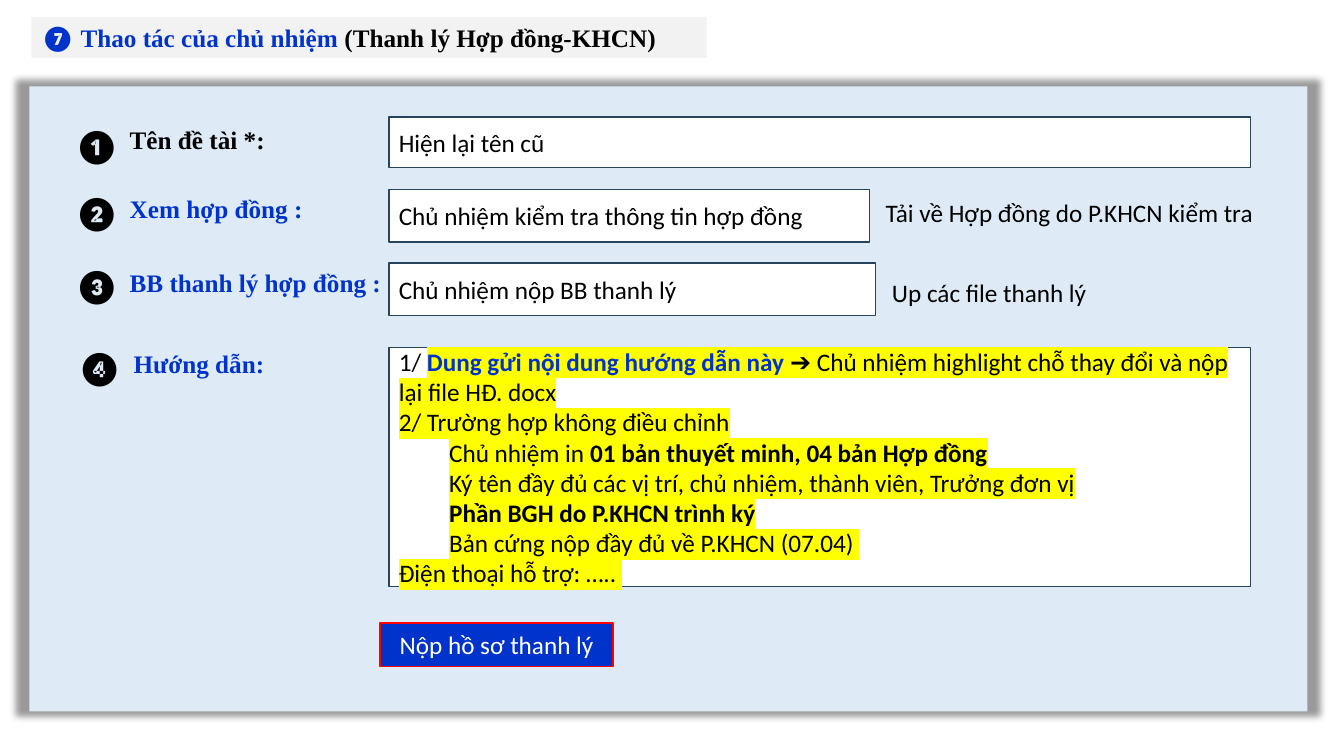
"""Build the contract liquidation form slide."""
from dataclasses import dataclass

from lxml import etree
from pptx import Presentation
from pptx.dml.color import RGBColor
from pptx.enum.shapes import MSO_SHAPE
from pptx.enum.text import MSO_ANCHOR, MSO_AUTO_SIZE, PP_ALIGN
from pptx.oxml.ns import qn
from pptx.shapes.autoshape import Shape
from pptx.slide import Slide
from pptx.util import Cm, Pt

RECTANGLE = MSO_SHAPE.RECTANGLE
TOP, MIDDLE = MSO_ANCHOR.TOP, MSO_ANCHOR.MIDDLE
GROW = MSO_AUTO_SIZE.SHAPE_TO_FIT_TEXT
LEFT, CENTER = PP_ALIGN.LEFT, PP_ALIGN.CENTER


@dataclass(frozen=True)
class Theme:
    black: str = "000000"
    white: str = "FFFFFF"
    blue: str = "0033CC"
    panel: str = "DEEBF7"
    header: str = "F2F2F2"
    border: str = "28445D"
    red: str = "FF0000"
    yellow: str = "FFFF00"
    body_font: str = "Calibri"
    label_font: str = "Times New Roman"
    body_size: float = 18
    badge_size: float = 24


THEME = Theme()


@dataclass(frozen=True)
class Box:
    left: float
    top: float
    width: float
    height: float


@dataclass(frozen=True)
class Span:
    text: str
    color: str = THEME.black
    bold: bool = False
    font: str = THEME.body_font
    size: float = THEME.body_size
    highlight: bool = False


@dataclass(frozen=True)
class Line:
    spans: list[Span]
    level: int = 0


@dataclass(frozen=True)
class FormRow:
    badge: str
    label: str
    label_color: str
    badge_box: Box
    label_box: Box
    field_box: Box
    lines: list[Line]


@dataclass(frozen=True)
class Note:
    text: str
    box: Box


def marked(text: str, color: str = THEME.black, bold: bool = False) -> Span:
    """Return a highlighted span."""
    return Span(text, color, bold, highlight=True)


GUIDE = [
    Line([
        Span("1/ "),
        marked("Dung gửi nội dung hướng dẫn này ", THEME.blue, True),
        marked("➔ Chủ nhiệm highlight chỗ thay đổi và nộp lại file HĐ. docx"),
    ]),
    Line([marked("2/ Trường hợp không điều chỉnh")]),
    Line([marked("Chủ nhiệm in "), marked("01 bản thuyết minh, 04 bản Hợp đồng", bold=True)], 1),
    Line([marked("Ký tên đầy đủ các vị trí, chủ nhiệm, thành viên, Trưởng đơn vị")], 1),
    Line([marked("Phần BGH do P.KHCN trình ký", bold=True)], 1),
    Line([marked("Bản cứng nộp đầy đủ về P.KHCN (07.04) ")], 1),
    Line([marked("Điện thoại hỗ trợ: ….. ")]),
]

ROWS = [
    FormRow("❶", "Tên đề tài *:", THEME.black, Box(1.63, 3.02, 1.4, 1.27),
            Box(3.02, 3.02, 3.96, 1.03), Box(9.8, 2.95, 21.72, 1.27),
            [Line([Span("Hiện lại tên cũ")])]),
    FormRow("❷", "Xem hợp đồng :", THEME.blue, Box(1.63, 4.7, 1.2, 1.27),
            Box(3.02, 4.75, 5.36, 1.03), Box(9.8, 4.78, 12.12, 1.32),
            [Line([Span("Chủ nhiệm kiểm tra thông tin hợp đồng")])]),
    FormRow("❸", "BB thanh lý hợp đồng :", THEME.blue, Box(1.63, 6.55, 1.2, 1.27),
            Box(3.02, 6.6, 6.92, 1.03), Box(9.8, 6.63, 12.27, 1.32),
            [Line([Span("Chủ nhiệm nộp BB thanh lý")])]),
    FormRow("❹", "Hướng dẫn:", THEME.blue, Box(1.7, 8.61, 1.2, 1.27),
            Box(3.12, 8.66, 5.66, 1.03), Box(9.8, 8.76, 21.72, 6.02), GUIDE),
]

NOTES = [
    Note("Tải về Hợp đồng do P.KHCN kiểm tra", Box(22.07, 4.85, 10.19, 1.03)),
    Note("Up các file thanh lý", Box(22.23, 6.86, 7.24, 1.03)),
]

HEADER = [
    Span("❼", THEME.blue, True),
    Span(" Thao tác của chủ nhiệm ", THEME.blue, True, THEME.label_font),
    Span("(Thanh lý Hợp đồng-KHCN)", THEME.black, True, THEME.label_font),
]


def lengths(box: Box) -> tuple[Cm, Cm, Cm, Cm]:
    """Convert a box to slide lengths."""
    return Cm(box.left), Cm(box.top), Cm(box.width), Cm(box.height)


def write_lines(shape: Shape, lines: list[Line], anchor: MSO_ANCHOR = TOP,
                alignment: PP_ALIGN = LEFT) -> None:
    """Fill a shape with styled paragraphs."""
    frame = shape.text_frame
    frame.word_wrap = True
    frame.vertical_anchor = anchor
    for index, line in enumerate(lines):
        paragraph = frame.add_paragraph() if index else frame.paragraphs[0]
        paragraph.alignment = alignment
        if line.level:
            paragraph.level = line.level
            properties = paragraph._p.get_or_add_pPr()
            properties.set("marL", str(Cm(1.27 * line.level)))
            properties.set("indent", "0")
        for span in line.spans:
            run = paragraph.add_run()
            run.text = span.text
            run.font.name = span.font
            run.font.size = Pt(span.size)
            run.font.bold = span.bold
            run.font.color.rgb = RGBColor.from_string(span.color)
            if span.highlight:
                highlight = etree.Element(qn("a:highlight"))
                etree.SubElement(highlight, qn("a:srgbClr"), val=THEME.yellow)
                run._r.get_or_add_rPr().find(qn("a:solidFill")).addnext(highlight)


def add_rectangle(slide: Slide, box: Box, fill: str, line: str | None = None) -> Shape:
    """Add a flat rectangle with an optional outline."""
    shape = slide.shapes.add_shape(RECTANGLE, *lengths(box))
    shape.shadow.inherit = False
    shape.fill.solid()
    shape.fill.fore_color.rgb = RGBColor.from_string(fill)
    if line:
        shape.line.color.rgb = RGBColor.from_string(line)
        shape.line.width = Pt(1)
    else:
        shape.line.fill.background()
    return shape


def add_label(slide: Slide, box: Box, span: Span) -> None:
    """Add a text box holding one span."""
    label = slide.shapes.add_textbox(*lengths(box))
    write_lines(label, [Line([span])])
    label.text_frame.auto_size = GROW


def add_panel(slide: Slide) -> None:
    """Add the form panel with its soft surrounding shadow."""
    panel = add_rectangle(slide, Box(0.74, 2.18, 32.21, 15.75), THEME.panel)
    effects = panel._element.spPr.find(qn("a:effectLst"))
    shadow = etree.SubElement(effects, qn("a:outerShdw"), blurRad=str(Pt(5)),
                              sx="102000", sy="102000", algn="ctr", rotWithShape="0")
    color = etree.SubElement(shadow, qn("a:srgbClr"), val=THEME.black)
    etree.SubElement(color, qn("a:alpha"), val="40000")


def add_row(slide: Slide, row: FormRow) -> None:
    """Add a numbered label and its field."""
    add_label(slide, row.badge_box, Span(row.badge, bold=True, size=THEME.badge_size))
    add_label(slide, row.label_box, Span(row.label, row.label_color, True, THEME.label_font))
    field = add_rectangle(slide, row.field_box, THEME.white, THEME.border)
    write_lines(field, row.lines, MIDDLE)


def main() -> None:
    """Build and save the presentation."""
    presentation = Presentation()
    presentation.slide_width, presentation.slide_height = Cm(33.87), Cm(19.05)
    slide = presentation.slides.add_slide(presentation.slide_layouts[6])
    add_panel(slide)
    header = add_rectangle(slide, Box(0.79, 0.43, 17.02, 1.03), THEME.header)
    write_lines(header, [Line(HEADER)])
    header.text_frame.auto_size = GROW
    for row in ROWS:
        add_row(slide, row)
    for note in NOTES:
        add_label(slide, note.box, Span(note.text))
    button = add_rectangle(slide, Box(9.58, 15.7, 5.87, 1.09), THEME.blue, THEME.red)
    write_lines(button, [Line([Span("Nộp hồ sơ thanh lý", THEME.white)])], MIDDLE, CENTER)
    presentation.save("out.pptx")


if __name__ == "__main__":
    main()
